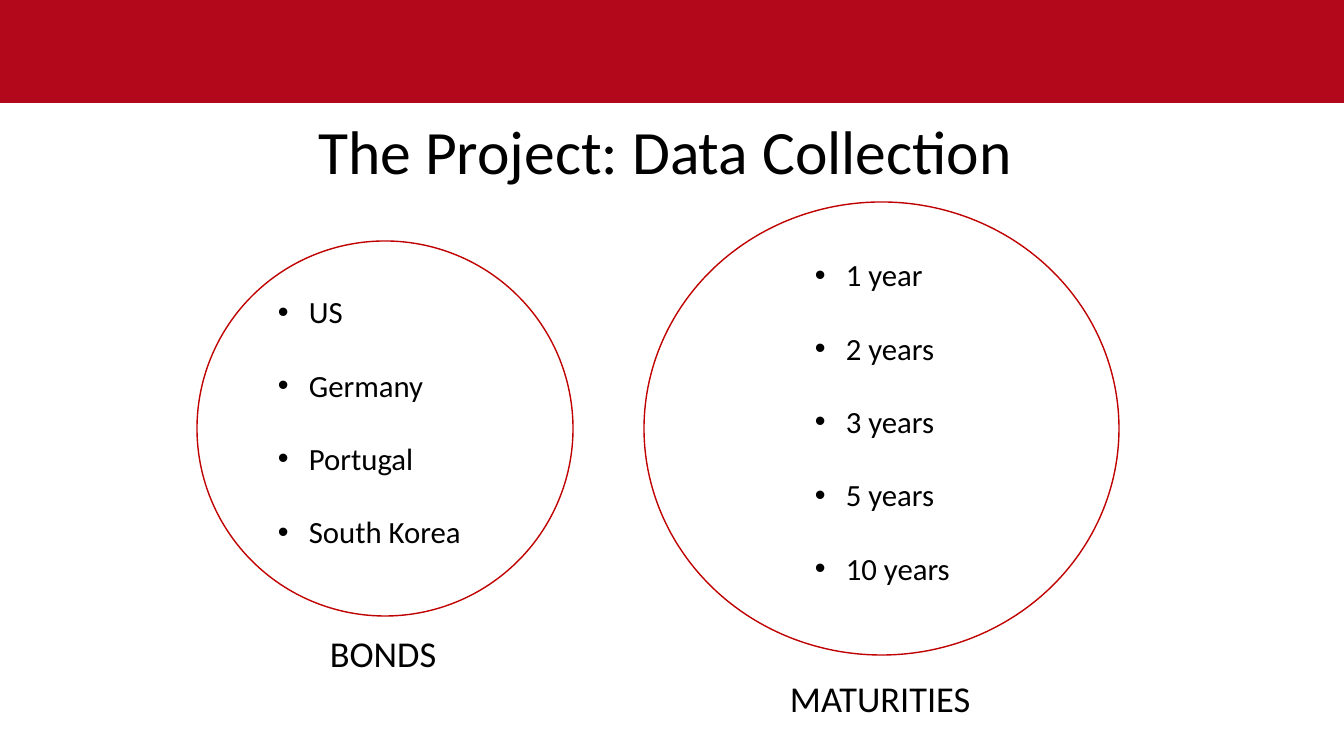
import pptx
import pptx.dml.color
import pptx.enum.shapes
import pptx.enum.text
import pptx.oxml
import pptx.oxml.ns
import pptx.util

RGB = pptx.dml.color.RGBColor
SHAPE = pptx.enum.shapes.MSO_SHAPE
ALIGN = pptx.enum.text.PP_ALIGN
ANCHOR = pptx.enum.text.MSO_ANCHOR

BANNER_RED = RGB(0xB3, 0x07, 0x1B)
RING_RED = RGB(0xC0, 0x00, 0x00)
BLACK = RGB(0x00, 0x00, 0x00)
EMU_PER_PX = 914400 / 100.8


def px(n):
    return pptx.util.Emu(round(n * EMU_PER_PX))


class Deck:
    """Style and current slide, with one method per kind of element."""

    font = "Calibri"

    def __init__(self, width, height):
        self.prs = pptx.Presentation()
        self.prs.slide_width, self.prs.slide_height = px(width), px(height)
        self.s = self.prs.slides.add_slide(self.prs.slide_layouts[6])

    def shape(self, kind, box, fill=None, line=None):
        sp = self.s.shapes.add_shape(kind, *map(px, box))
        sp.shadow.inherit = False
        if fill is None:
            sp.fill.background()
        else:
            sp.fill.solid()
            sp.fill.fore_color.rgb = fill
        if line is None:
            sp.line.fill.background()
        else:
            sp.line.color.rgb = line
            sp.line.width = pptx.util.Pt(1)

    def text(self, box, lines, size, align=ALIGN.LEFT, anchor=ANCHOR.TOP,
             spacing=None, gap=0, bullets=False):
        tf = self.s.shapes.add_textbox(*map(px, box)).text_frame
        tf.word_wrap = True
        tf.vertical_anchor = anchor
        for i, line in enumerate(lines):
            p = tf.paragraphs[0] if i == 0 else tf.add_paragraph()
            p.alignment = align
            p.line_spacing = spacing
            p.space_after = pptx.util.Pt(gap)
            if bullets:
                self.bullet(p)
            r = p.add_run()
            r.text = line
            r.font.name = self.font
            r.font.size = pptx.util.Pt(size)
            r.font.color.rgb = BLACK

    def bullet(self, p):
        pPr = p._p.get_or_add_pPr()
        pPr.set("marL", str(px(31)))
        pPr.set("indent", str(-px(31)))
        ns = pptx.oxml.ns.nsdecls("a")
        for xml in (f'<a:buFont {ns} typeface="Arial"/>',
                    f'<a:buChar {ns} char="•"/>'):
            pPr.append(pptx.oxml.parse_xml(xml))

    def group(self, ring, list_box, items, label_box, label):
        self.shape(SHAPE.FLOWCHART_CONNECTOR, ring, line=RING_RED)
        self.text(list_box, items, 22, gap=26, bullets=True)
        self.text(label_box, [label], 26)


def main():
    deck = Deck(1344, 756)

    # Banner and title
    deck.shape(SHAPE.RECTANGLE, (0, 0, 1344, 103), fill=BANNER_RED)
    deck.text((93, 113, 1159, 84), ["The Project: Data Collection "], 44,
              ALIGN.CENTER, ANCHOR.MIDDLE, spacing=0.9)

    # Bonds
    deck.group((197, 241, 376, 375), (268, 288, 320, 271),
               ["US", "Germany", "Portugal", "South Korea"],
               (320, 626, 132, 54), "BONDS")

    # Maturities
    years = ["1 year"] + [f"{n} years" for n in (2, 3, 5, 10)]
    deck.group((644, 202, 475, 453), (805, 251, 331, 346), years,
               (780, 671, 203, 54), "MATURITIES")

    deck.prs.save("out.pptx")


if __name__ == "__main__":
    main()
